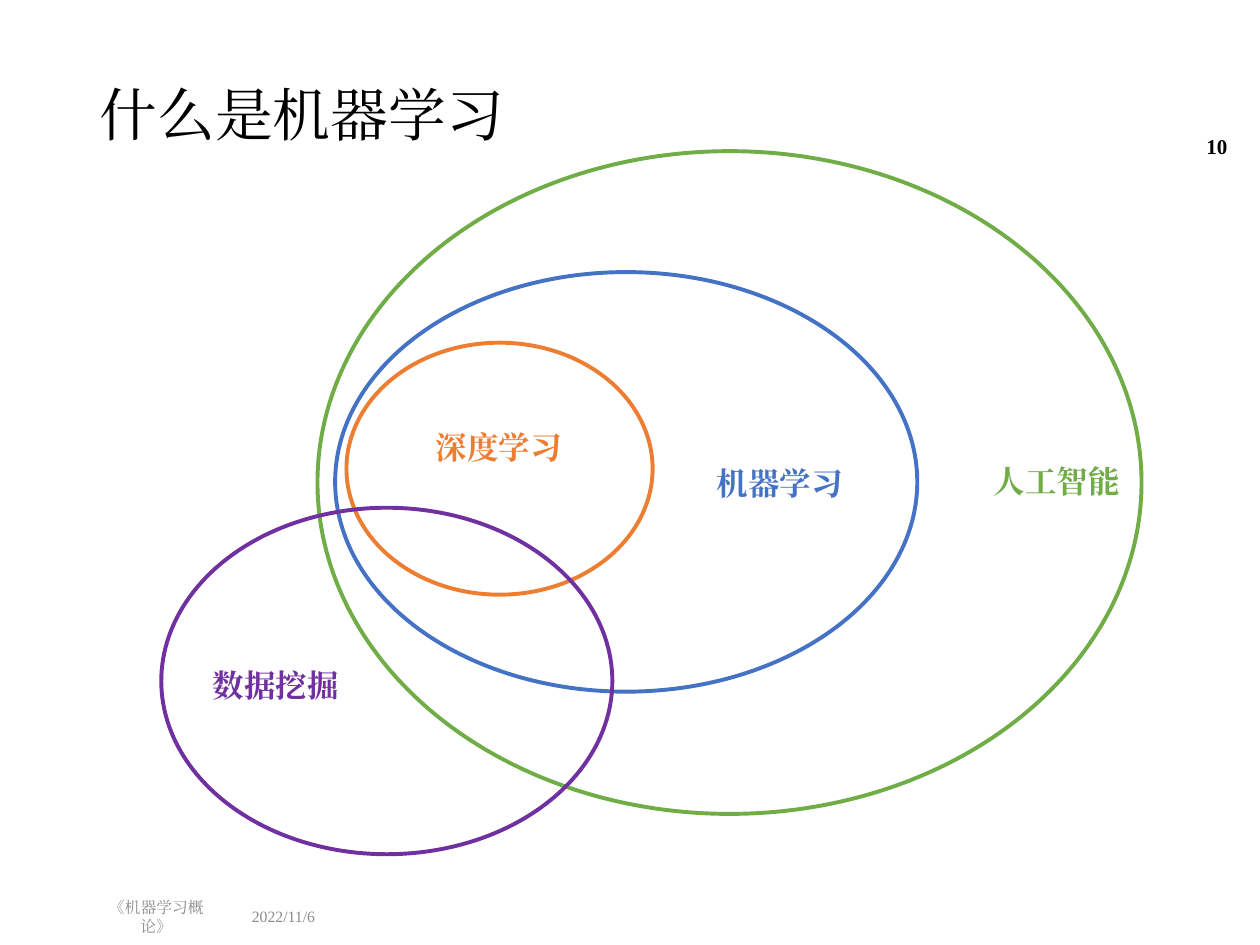
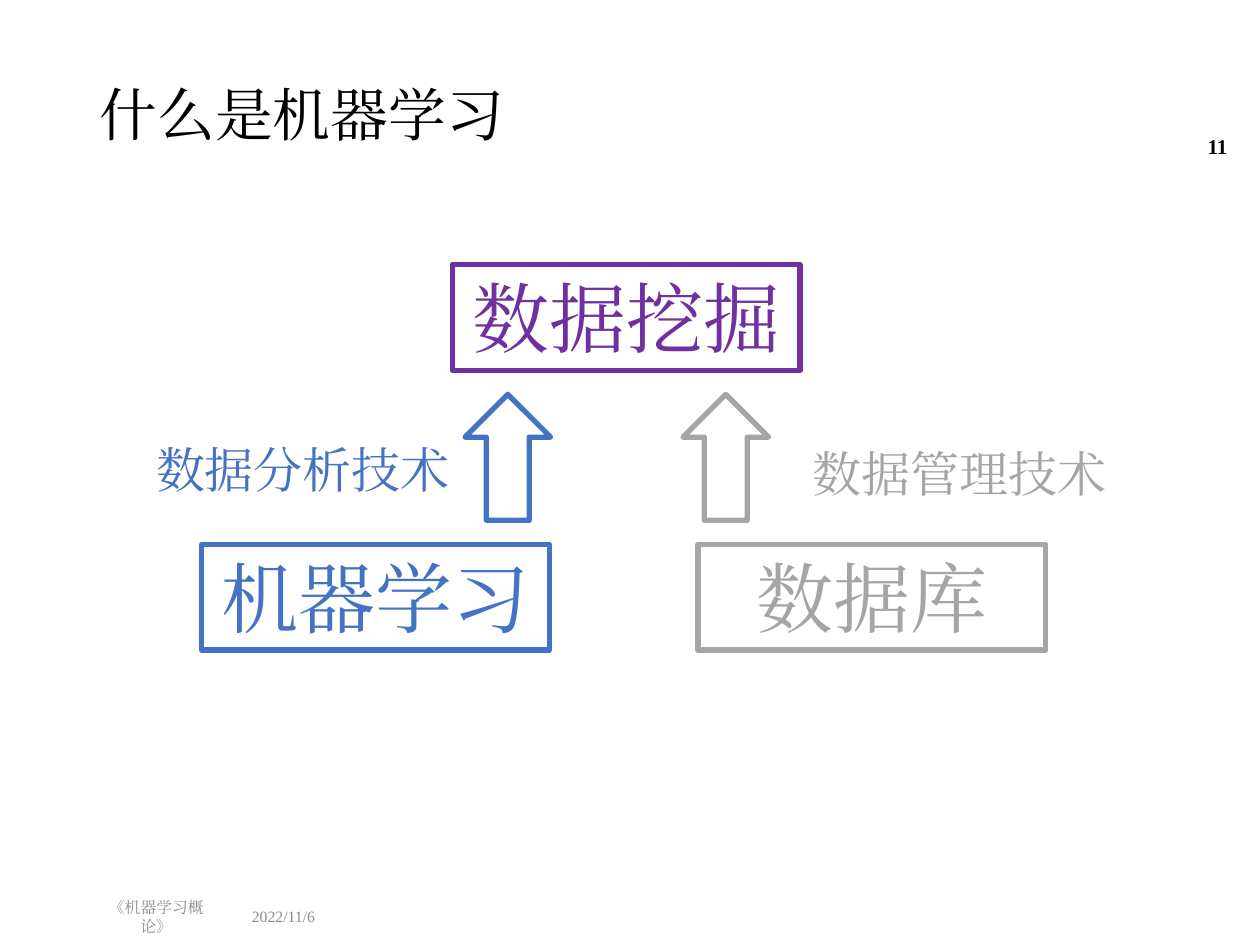
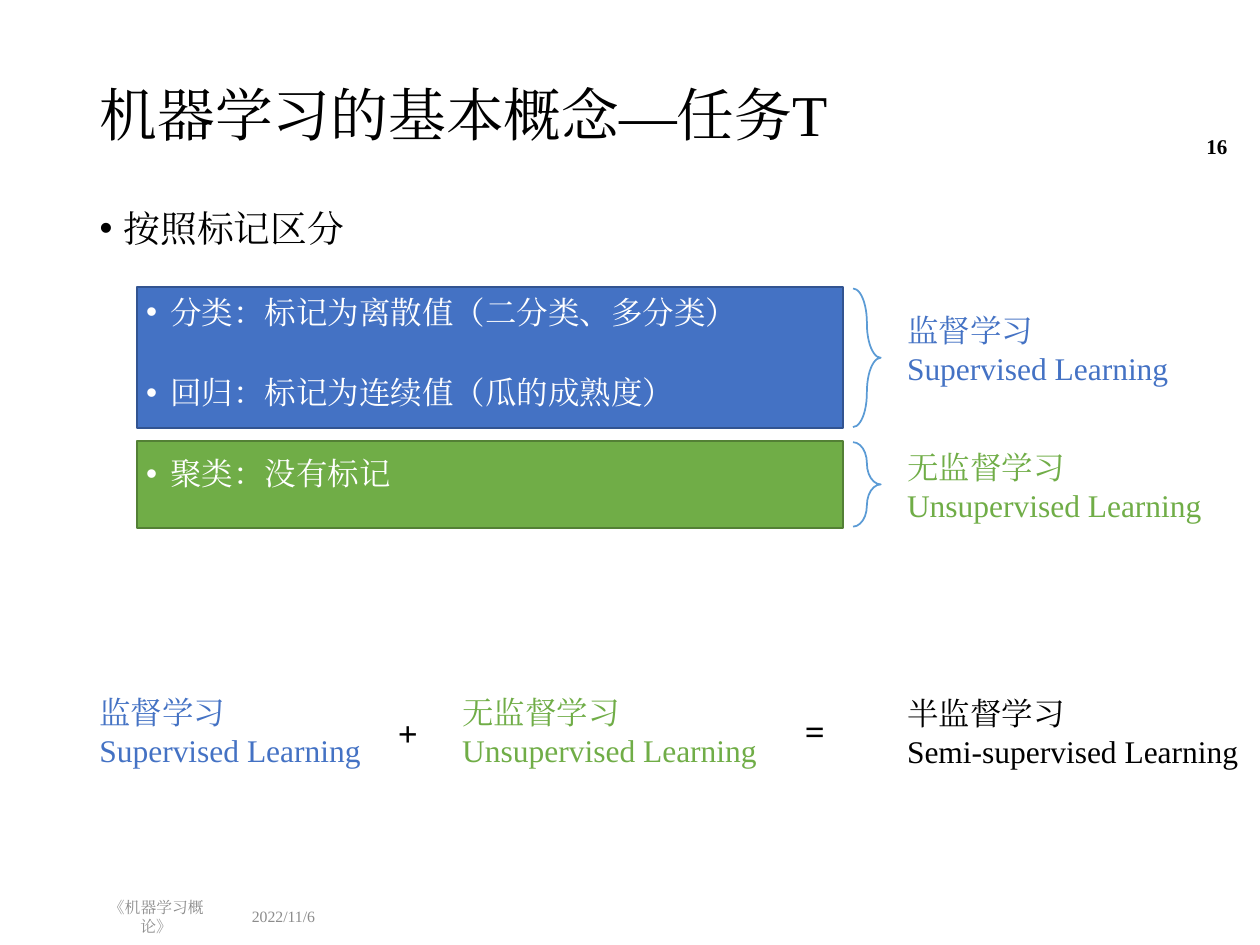
"""Build three slides that introduce machine learning."""
from dataclasses import dataclass

from lxml.etree import SubElement
from pptx import Presentation
from pptx.dml.color import RGBColor
from pptx.enum.shapes import MSO_SHAPE as Preset
from pptx.enum.text import MSO_ANCHOR as Anchor, MSO_AUTO_SIZE as AutoSize, PP_ALIGN as Align
from pptx.oxml.ns import qn
from pptx.shapes.autoshape import Shape
from pptx.slide import Slide
from pptx.util import Inches, Pt


@dataclass(frozen=True)
class Theme:
    """Colours, type sizes and line widths of the deck."""
    font: str = "Times New Roman"
    black: str = "000000"
    white: str = "FFFFFF"
    blue: str = "4472C4"
    green: str = "70AD47"
    orange: str = "ED7D31"
    purple: str = "7030A0"
    grey: str = "A5A5A5"
    footer: str = "8C8C8C"
    brace: str = "5B9BD5"
    blue_edge: str = "325491"
    green_edge: str = "538035"
    title_size: float = 33
    topic_size: float = 21
    text_size: float = 18
    box_size: float = 44
    caption_size: float = 28
    sign_size: float = 20
    page_size: float = 12
    footer_size: float = 9
    thin: float = 1
    ring: float = 2.25
    thick: float = 3
    line_spacing: float = 0.9
    item_gap: float = 26.7


THEME = Theme()


@dataclass(frozen=True)
class Area:
    """A place on the slide, in inches."""
    left: float
    top: float
    width: float
    height: float

    def lengths(self) -> tuple[int, int, int, int]:
        """Return the four sides as slide lengths."""
        return Inches(self.left), Inches(self.top), Inches(self.width), Inches(self.height)


@dataclass(frozen=True)
class Style:
    """The look of one run of text."""
    size: float
    colour: str
    bold: bool = False


@dataclass(frozen=True)
class Label:
    """Lines of text in a box of their own."""
    lines: tuple[str, ...]
    area: Area
    style: Style
    align: Align = Align.LEFT
    anchor: Anchor = Anchor.TOP


@dataclass(frozen=True)
class Figure:
    """An outlined preset shape, with a fill where one is named."""
    preset: Preset
    area: Area
    line: str
    weight: float
    fill: str | None = None


@dataclass(frozen=True)
class Ring:
    """A field of study, drawn as an ellipse with its name."""
    name: str
    colour: str
    area: Area
    name_left: float
    name_top: float


TITLE_AREA = Area(0.69, 0.4, 8.62, 1.07)
BODY_AREA = Area(0.69, 1.62, 8.62, 5.39)

RINGS = (
    Ring("深度学习", THEME.orange, Area(2.75, 2.72, 2.43, 2), 3.36, 3.35),
    Ring("机器学习", THEME.blue, Area(2.66, 2.16, 4.62, 3.33), 5.59, 3.63),
    Ring("人工智能", THEME.green, Area(2.52, 1.2, 6.54, 5.26), 7.79, 3.62),
    Ring("数据挖掘", THEME.purple, Area(1.28, 4.03, 3.58, 2.75), 1.59, 5.24),
)

FIELDS = (
    ("数据挖掘", THEME.purple, 3.59, 2.1),
    ("机器学习", THEME.blue, 1.6, 4.32),
    ("数据库", THEME.grey, 5.54, 4.32),
)

TECHNIQUES = (
    ("数据分析技术", THEME.blue, 3.69, 1.14, 3.44),
    ("数据管理技术", THEME.grey, 5.42, 6.35, 3.47),
)

BANDS = (
    (THEME.blue, THEME.blue_edge, 2.28, 1.12),
    (THEME.green, THEME.green_edge, 3.5, 0.69),
)

TASKS = ("分类：标记为离散值（二分类、多分类）", "回归：标记为连续值（瓜的成熟度）", "聚类：没有标记")

SUPERVISED = ("监督学习", "Supervised Learning")
UNSUPERVISED = ("无监督学习", "Unsupervised Learning")
SEMI_SUPERVISED = ("半监督学习", "Semi-supervised Learning")

LEARNING_KINDS = (
    (SUPERVISED, THEME.blue, 7.1, 2.42, 2.32),
    (UNSUPERVISED, THEME.green, 7.1, 3.51, 2.61),
    (SUPERVISED, THEME.blue, 0.69, 5.45, 2.32),
    (UNSUPERVISED, THEME.green, 3.57, 5.45, 2.61),
    (SEMI_SUPERVISED, THEME.black, 7.1, 5.46, 2.85),
)

SIGNS = (("+", 3.06, 5.6), ("=", 6.29, 5.58))


def add_span(para, text: str, style: Style) -> None:
    """Add one formatted run to a paragraph."""
    span = para.add_run()
    span.text = text
    font = span.font
    font.size, font.bold, font.name = Pt(style.size), style.bold, THEME.font
    font.color.rgb = RGBColor.from_string(style.colour)
    SubElement(font._element, qn("a:ea")).set("typeface", THEME.font)


def write_lines(box: Shape, label: Label) -> None:
    """Write the lines of a label into a shape."""
    frame = box.text_frame
    frame.word_wrap = True
    frame.auto_size = AutoSize.NONE
    frame.vertical_anchor = label.anchor
    for number, line in enumerate(label.lines):
        para = frame.add_paragraph() if number else frame.paragraphs[0]
        para.alignment = label.align
        add_span(para, line, label.style)


def add_label(page: Slide, label: Label) -> None:
    """Place a text box that holds a label."""
    write_lines(page.shapes.add_textbox(*label.area.lengths()), label)


def add_figure(page: Slide, figure: Figure) -> Shape:
    """Draw a preset shape without a shadow."""
    shape = page.shapes.add_shape(figure.preset, *figure.area.lengths())
    shape.shadow.inherit = False
    shape.line.color.rgb = RGBColor.from_string(figure.line)
    shape.line.width = Pt(figure.weight)
    if figure.fill:
        shape.fill.solid()
        shape.fill.fore_color.rgb = RGBColor.from_string(figure.fill)
    else:
        shape.fill.background()
    return shape


def move(shape: Shape, area: Area) -> None:
    """Move a placeholder to an area."""
    shape.left, shape.top, shape.width, shape.height = area.lengths()


def add_page(deck, layout: int, title: str, number: int) -> Slide:
    """Add a slide with its title, footers and page number."""
    page = deck.slides.add_slide(deck.slide_layouts[layout])
    heading = page.shapes.title
    move(heading, TITLE_AREA)
    write_lines(heading, Label((title,), TITLE_AREA, Style(THEME.title_size, THEME.black),
                               anchor=Anchor.MIDDLE))
    heading.text_frame.paragraphs[0].line_spacing = THEME.line_spacing
    footer = Style(THEME.footer_size, THEME.footer)
    page_style = Style(THEME.page_size, THEME.black, True)
    for label in (
        Label(("2022/11/6",), Area(1.9, 7.13, 0.91, 0.29), footer, anchor=Anchor.MIDDLE),
        Label(("《机器学习概论》",), Area(0.69, 7.13, 1.1, 0.29), footer, Align.CENTER, Anchor.MIDDLE),
        Label((str(number),), Area(9.15, 0.96, 0.69, 0.4), page_style, Align.RIGHT, Anchor.MIDDLE),
    ):
        add_label(page, label)
    return page


def add_bullet(para, text: str, level: int, style: Style) -> None:
    """Fill a paragraph as a bulleted list item."""
    para.level = level
    para.alignment = Align.LEFT
    para.line_spacing = THEME.line_spacing
    para.space_before = Pt(THEME.item_gap if level else 0)
    properties = para._p.get_or_add_pPr()
    properties.set("marL", str(Inches(0.56 if level else 0.19)))
    properties.set("indent", str(Inches(-0.19)))
    SubElement(properties, qn("a:buFont")).set("typeface", "Arial")
    SubElement(properties, qn("a:buChar")).set("char", "•")
    add_span(para, text, style)


def build_field_rings(deck) -> None:
    """Show how the fields of study overlap."""
    page = add_page(deck, 5, "什么是机器学习", 10)
    for ring in RINGS:
        add_figure(page, Figure(Preset.OVAL, ring.area, ring.colour, THEME.ring))
        add_label(page, Label((ring.name,), Area(ring.name_left, ring.name_top, 1.21, 0.4),
                              Style(THEME.text_size, ring.colour, True)))


def build_data_mining(deck) -> None:
    """Show the two fields that data mining rests on."""
    page = add_page(deck, 5, "什么是机器学习", 11)
    for name, colour, left, top in FIELDS:
        area = Area(left, top, 2.76, 0.84)
        box = add_figure(page, Figure(Preset.RECTANGLE, area, colour, THEME.thick, THEME.white))
        write_lines(box, Label((name,), area, Style(THEME.box_size, colour), Align.CENTER))
    for name, colour, arrow_left, left, top in TECHNIQUES:
        add_figure(page, Figure(Preset.UP_ARROW, Area(arrow_left, 3.13, 0.68, 1), colour, THEME.thick))
        add_label(page, Label((name,), Area(left, top, 2.56, 0.57), Style(THEME.caption_size, colour)))


def build_tasks(deck) -> None:
    """Show the tasks by label and the kinds of learning."""
    page = add_page(deck, 1, "机器学习的基本概念—任务T", 16)
    for fill, edge, top, height in BANDS:
        add_figure(page, Figure(Preset.RECTANGLE, Area(1.09, top, 5.6, height), edge, THEME.thin, fill))
        brace_area = Area(6.77, top + 0.01, 0.22, height - 0.02)
        brace = add_figure(page, Figure(Preset.RIGHT_BRACE, brace_area, THEME.brace, THEME.thin))
        brace.adjustments[0] = 1.24

    body = page.placeholders[1]
    move(body, BODY_AREA)
    body.element.getparent().append(body.element)
    frame = body.text_frame
    frame.auto_size = AutoSize.NONE
    add_bullet(frame.paragraphs[0], "按照标记区分", 0, Style(THEME.topic_size, THEME.black))
    for task in TASKS:
        add_bullet(frame.add_paragraph(), task, 1, Style(THEME.text_size, THEME.white))

    for lines, colour, left, top, width in LEARNING_KINDS:
        add_label(page, Label(lines, Area(left, top, width, 0.71), Style(THEME.text_size, colour)))
    for sign, left, top in SIGNS:
        add_label(page, Label((sign,), Area(left, top, 0.49, 0.44),
                              Style(THEME.sign_size, THEME.black, True)))


def main() -> None:
    """Build and save the deck."""
    deck = Presentation()
    deck.slide_width, deck.slide_height = Inches(10), Inches(7.5)
    build_field_rings(deck)
    build_data_mining(deck)
    build_tasks(deck)
    deck.save("out.pptx")


if __name__ == "__main__":
    main()
